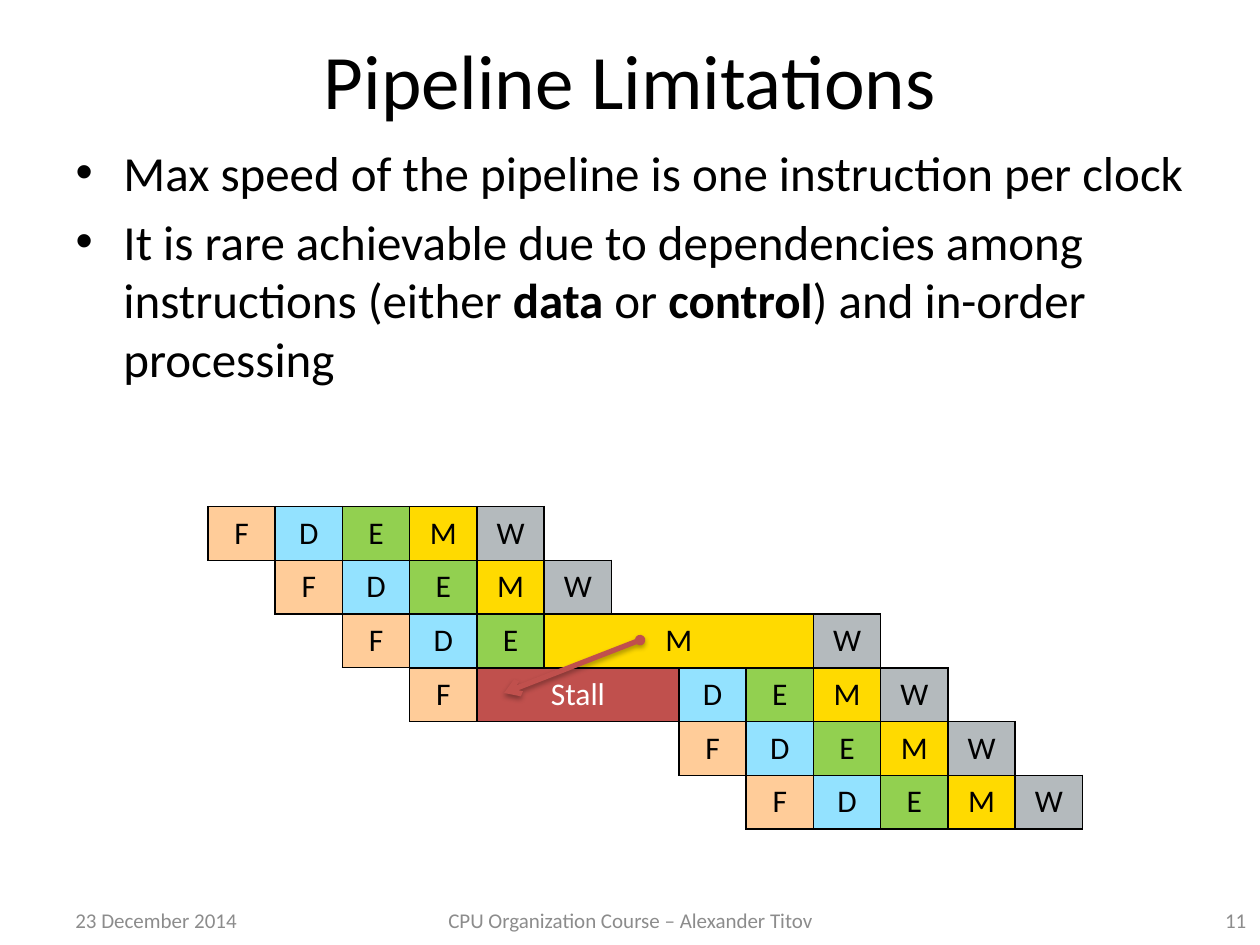
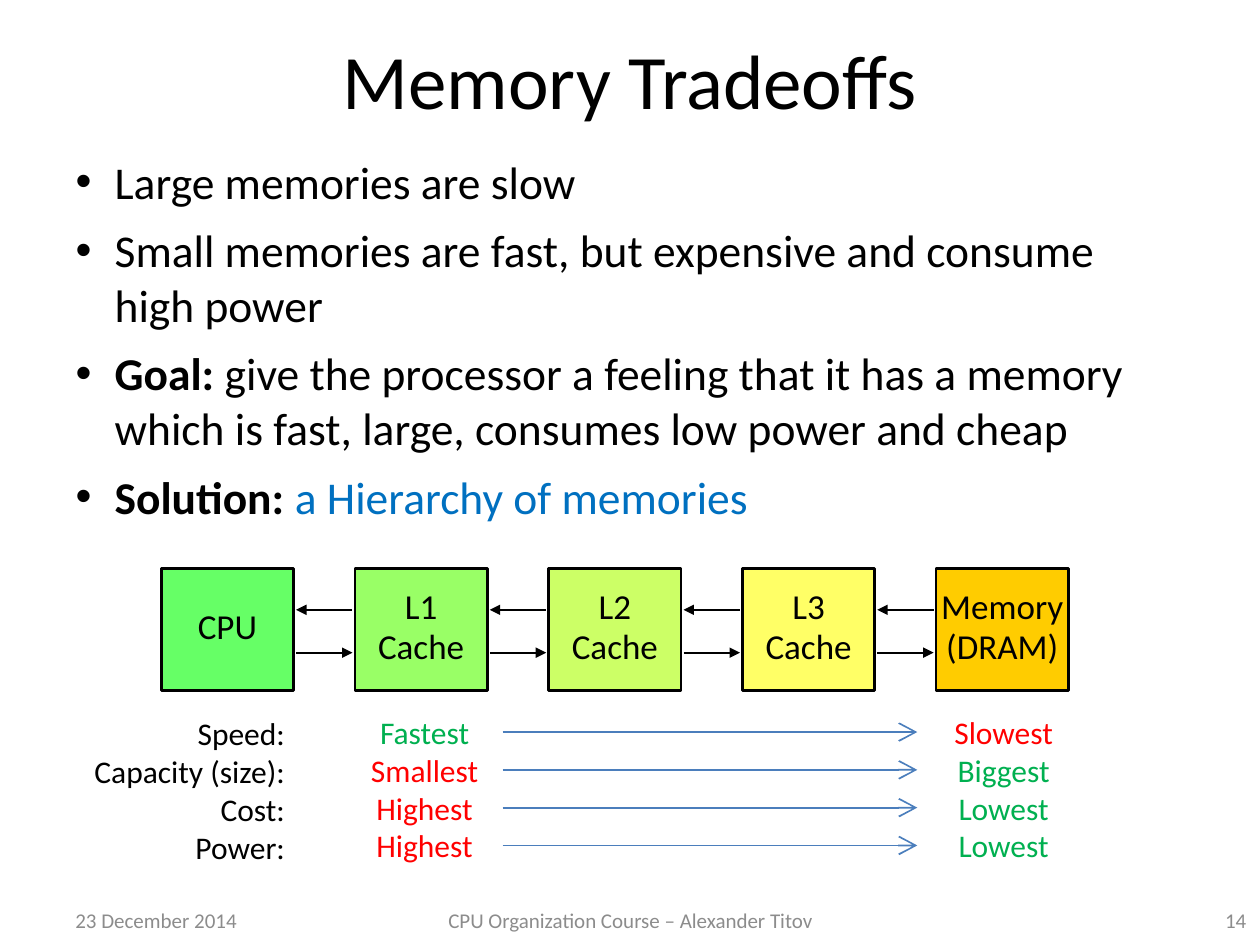
"""Builds two lecture slides on pipelines and the memory hierarchy."""
import pptx
import pptx.dml.color
import pptx.enum.shapes
import pptx.enum.text
import pptx.oxml
import pptx.oxml.ns
import pptx.util
from lxml import etree

Inches = pptx.util.Inches
Pt = pptx.util.Pt
ALIGN = pptx.enum.text.PP_ALIGN
MIDDLE = pptx.enum.text.MSO_ANCHOR.MIDDLE
qn = pptx.oxml.ns.qn

FONT = "Calibri"
BLACK, WHITE, GRAY = "000000", "FFFFFF", "8C8C8C"
RED, GREEN, BLUE, STEEL = "FF0000", "00B050", "0070C0", "4B7EBC"
STALL = "C0504D"
STAGE_FILLS = {"F": "FFCC99", "D": "93E2FF", "E": "92D050",
               "M": "FFDA00", "W": "B4BABD", "Stall": STALL}
NO_GRID_STYLE = "{2D5ABB26-0587-4C30-8999-92F81FD0307C}"
CELL_W, CELL_H = 5.34 / 10, 1.28 / 3

TITLE_BOX = (0.5, 0, 9, 1.25)
FOOTERS = [((0.5, 7.1, 2.33, 0.4), ALIGN.LEFT, "23 December 2014"),
           ((3.42, 7.1, 3.17, 0.4), ALIGN.CENTER,
            "CPU Organization Course – Alexander Titov")]
NUMBER_BOX = (7.66, 7.1, 2.33, 0.4)


def rgb(color):
    """Return the colour for a hex string."""
    return pptx.dml.color.RGBColor.from_string(color)


def style(p, size, color=BLACK, align=None):
    """Format a paragraph and all its runs."""
    p.alignment = align
    for r in p.runs:
        r.font.name, r.font.size = FONT, Pt(size)
        r.font.color.rgb = rgb(color)


def place(sp, box):
    """Move and size a shape to a box in inches."""
    sp.left, sp.top, sp.width, sp.height = map(Inches, box)


def add_text(slide, box, lines, size, colors, align, wrap=True):
    """Add a text box with one colour per line."""
    tf = slide.shapes.add_textbox(*map(Inches, box)).text_frame
    tf.word_wrap = wrap
    tf.text = "\n".join(lines)
    for p, color in zip(tf.paragraphs, colors):
        style(p, size, color, align)
    return tf


def add_line(slide, start, end, color, width, head=None, tail=None, size="med"):
    """Add a straight line with optional arrowheads and return its effect list."""
    line = slide.shapes.add_connector(
        pptx.enum.shapes.MSO_CONNECTOR.STRAIGHT, *map(Inches, start + end))
    line.line.color.rgb = rgb(color)
    line.line.width = Pt(width)
    ln = line.line._get_or_add_ln()
    for tag, kind in (("a:headEnd", head), ("a:tailEnd", tail)):
        if kind:
            end_size = "sm" if kind == "oval" else size
            etree.SubElement(ln, qn(tag), type=kind, w=end_size, len=end_size)
    return etree.SubElement(line._element.spPr, qn("a:effectLst"))


def add_shadow(effects):
    """Put a soft shadow below a line."""
    shadow = etree.SubElement(effects, qn("a:outerShdw"), blurRad="40000",
                              dist="23000", dir="5400000", rotWithShape="0")
    black = etree.SubElement(shadow, qn("a:srgbClr"), val=BLACK)
    etree.SubElement(black, qn("a:alpha"), val="35000")


def add_slide(prs, title, number):
    """Add a slide with its title and footers."""
    slide = prs.slides.add_slide(prs.slide_layouts[1])
    place(slide.shapes.title, TITLE_BOX)
    tf = slide.shapes.title.text_frame
    tf.text = title
    tf.vertical_anchor = MIDDLE
    style(tf.paragraphs[0], 44, align=ALIGN.CENTER)
    for box, align, text in FOOTERS + [(NUMBER_BOX, ALIGN.RIGHT, str(number))]:
        footer = add_text(slide, box, [text], 12, [GRAY], align)
        footer.vertical_anchor = MIDDLE
    return slide


def fill_body(slide, box, items, size, indent, space=None):
    """Fill the body with bullets, where ** switches bold on and off."""
    body = slide.placeholders[1]
    place(body, box)
    tf = body.text_frame
    tf.auto_size = pptx.enum.text.MSO_AUTO_SIZE.NONE
    for i, item in enumerate(items):
        p = tf.paragraphs[0] if i == 0 else tf.add_paragraph()
        for j, text in enumerate(item.split("**")):
            if text:
                r = p.add_run()
                r.text = text
                r.font.bold = j % 2 == 1
        style(p, size)
        if space:
            p.space_before = Pt(space)
        pPr = p._p.get_or_add_pPr()
        pPr.set("marL", str(Inches(indent)))
        pPr.set("indent", str(-Inches(indent)))
    return tf


def fill_stage(cell, label):
    """Label, colour and outline one pipeline stage."""
    cell.text = label
    cell.vertical_anchor = MIDDLE
    style(cell.text_frame.paragraphs[0], 18,
          WHITE if label == "Stall" else BLACK, ALIGN.CENTER)
    tcPr = cell._tc.get_or_add_tcPr()
    for side in ("a:lnL", "a:lnR", "a:lnT", "a:lnB"):
        ln = etree.SubElement(tcPr, qn(side), w=str(Pt(1)))
        etree.SubElement(etree.SubElement(ln, qn("a:solidFill")),
                         qn("a:srgbClr"), val=BLACK)
    cell.fill.solid()
    cell.fill.fore_color.rgb = rgb(STAGE_FILLS[label])


def add_stages(slide, origin, col, row, spans, rows):
    """Add stages on the clock grid, where - is empty and < joins the cell before."""
    left, top = origin
    frame = slide.shapes.add_table(
        len(rows), len(spans), Inches(left + col * CELL_W),
        Inches(top + row * CELL_H), Inches(sum(spans) * CELL_W),
        Inches(len(rows) * CELL_H))
    table = frame.table
    table.first_row = table.horz_banding = False
    table._tbl.tblPr.find(qn("a:tableStyleId")).text = NO_GRID_STYLE
    for column, span in zip(table.columns, spans):
        column.width = Inches(span * CELL_W)
    for i, text in enumerate(rows):
        labels = text.split()
        for j, label in enumerate(labels):
            if label == "<":
                if labels[j + 1:j + 2] != ["<"]:
                    first = j - 1
                    while labels[first] == "<":
                        first -= 1
                    table.cell(i, first).merge(table.cell(i, j))
            elif label == "-":
                table.cell(i, j).fill.background()
            else:
                fill_stage(table.cell(i, j), label)


def add_pipeline(slide, origin):
    """Draw the pipeline diagram with its stall."""
    left, top = origin
    add_stages(slide, origin, 0, 0, [1] * 10,
               ["F D E M W - - - - <",
                "- F D E M W - - - -",
                "- < F D E M W - - -"])
    add_stages(slide, origin, 3, 3, [1] * 4,
               ["F Stall < <", "- - - -", "- - - -"])
    add_stages(slide, origin, 7, 3, [1] * 6,
               ["D E M W - -", "F D E M W -", "- F D E M W"])
    add_stages(slide, origin, 5, 2, [4, 1], ["M W"])
    add_shadow(add_line(slide, (left + 3.43, top + 1.06),
                        (left + 2.35, top + 1.48), STALL, 3, "oval", "arrow"))


def add_memory(slide, box, label, fill):
    """Add one level of the memory hierarchy."""
    sp = slide.shapes.add_shape(
        pptx.enum.shapes.MSO_SHAPE.RECTANGLE, *map(Inches, box))
    sp.shadow.inherit = False
    sp.fill.solid()
    sp.fill.fore_color.rgb = rgb(fill)
    sp.line.color.rgb = rgb(BLACK)
    sp.line.width = Pt(1.5)
    tf = sp.text_frame
    tf.word_wrap = False
    tf.vertical_anchor = MIDDLE
    tf.text = label
    for p in tf.paragraphs:
        style(p, 20, align=ALIGN.CENTER)
        p.line_spacing = 0.8
        p.space_before = Pt(4)


def add_hierarchy(slide, box):
    """Draw the memory levels in a row with arrows both ways between them."""
    left, top, width, height = box
    levels = [("CPU", "66FF66"), ("L1\nCache", "99FF66"),
              ("L2\nCache", "CCFF66"), ("L3\nCache", "FFFF66"),
              ("Memory\n(DRAM)", "FFCC00")]
    level_w = 1.05
    pitch = (width - level_w) / (len(levels) - 1)
    for i, (label, fill) in enumerate(levels):
        x = left + i * pitch
        add_memory(slide, (x, top, level_w, height), label, fill)
        if i:
            start, end = x - pitch + level_w + 0.02, x - 0.02
            add_line(slide, (start, top + 0.33), (end, top + 0.33),
                     BLACK, 1, head="triangle")
            add_line(slide, (start, top + 0.67), (end, top + 0.67),
                     BLACK, 1, tail="triangle")


def add_tradeoffs(slide, box):
    """Compare the fastest and the slowest memory by four properties."""
    left, top, width, height = box
    columns = [
        (0, 0.01, 1.74, ALIGN.RIGHT, [BLACK] * 4,
         ["Speed:", "Capacity (size):", "Cost:", "Power:"]),
        (2.22, 0, 1.06, ALIGN.CENTER, [GREEN, RED, RED, RED],
         ["Fastest", "Smallest", "Highest", "Highest"]),
        (width - 0.99, 0, 0.99, ALIGN.CENTER, [RED, GREEN, GREEN, GREEN],
         ["Slowest", "Biggest", "Lowest", "Lowest"])]
    for x, y, w, align, colors, lines in columns:
        add_text(slide, (left + x, top + y, w, height), lines, 18, colors,
                 align, wrap=False)
    for i in range(4):
        y = top + 0.2 + 0.3 * i
        add_line(slide, (left + 3.37, y), (left + width - 1.18, y),
                 STEEL, 1, tail="arrow", size="lg")


def build_limitations(prs):
    """Build the slide on pipeline limitations."""
    slide = add_slide(prs, "Pipeline Limitations", 11)
    fill_body(slide, (0.5, 1.08, 9, 5.67), [
        "Max speed of the pipeline is one instruction per clock",
        "It is rare achievable due to dependencies among instructions "
        "(either **data **or **control**) and in-order processing"], 28, 0.38)
    add_pipeline(slide, (1.65, 4.02))


def build_tradeoffs(prs):
    """Build the slide on memory tradeoffs."""
    slide = add_slide(prs, "Memory Tradeoffs", 14)
    tf = fill_body(slide, (0.5, 1.17, 9, 3.01), [
        "Large memories are slow",
        "Small memories are fast, but expensive and consume high power",
        "**Goal: **give the processor a feeling that it has a memory "
        "which is fast, large, consumes low power and cheap",
        "**Solution: **a Hierarchy of memories"], 26, 0.31, 8)
    tf.paragraphs[-1].runs[-1].font.color.rgb = rgb(BLUE)
    add_tradeoffs(slide, (0.62, 5.61, 7.84, 1.31))
    add_hierarchy(slide, (1.28, 4.51, 7.2, 0.97))


def main():
    """Build and save the presentation."""
    prs = pptx.Presentation()
    prs.slide_width, prs.slide_height = Inches(10), Inches(7.5)
    build_limitations(prs)
    build_tradeoffs(prs)
    prs.save("out.pptx")


if __name__ == "__main__":
    main()
